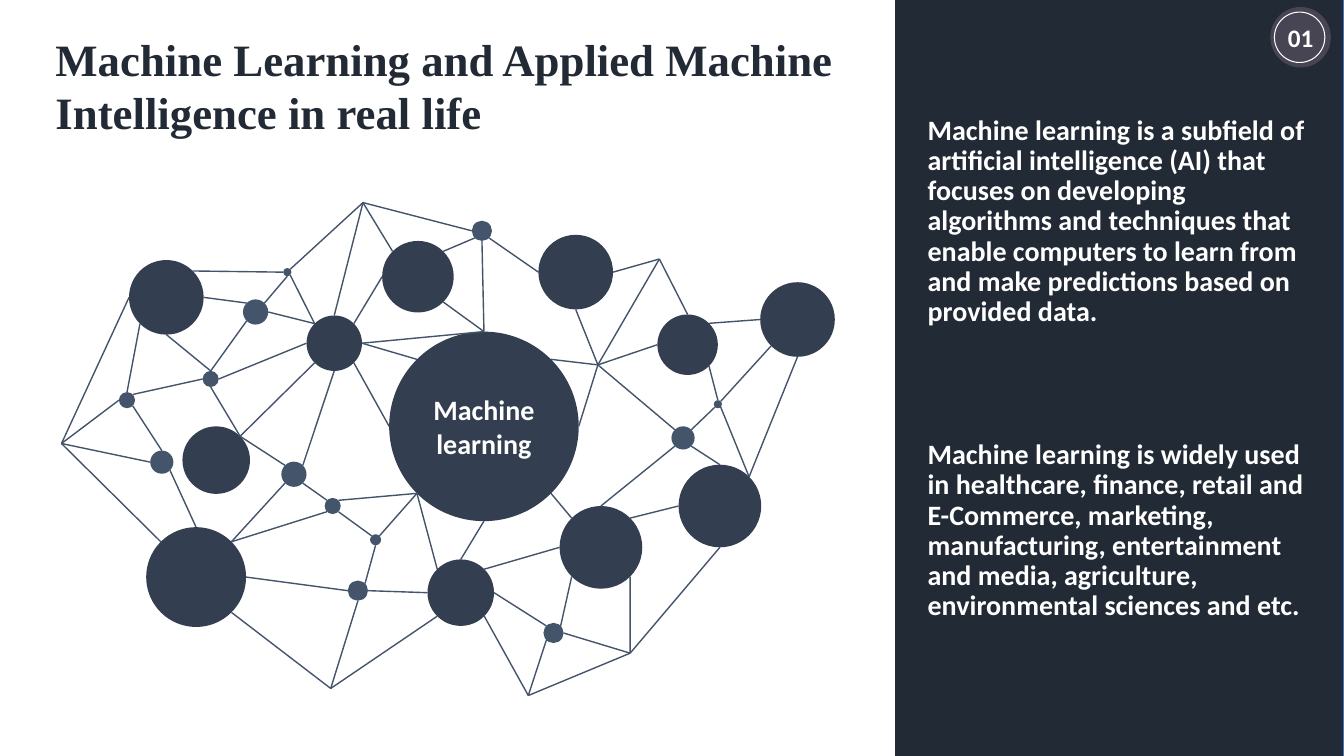
"""Build a slide showing a network of nodes around machine learning."""
from math import sqrt

from lxml.etree import SubElement
from pptx import Presentation
from pptx.dml.color import RGBColor
from pptx.enum.shapes import MSO_CONNECTOR, MSO_SHAPE
from pptx.enum.text import MSO_ANCHOR, MSO_AUTO_SIZE, PP_ALIGN
from pptx.oxml.ns import qn
from pptx.util import Inches, Pt

WHITE = RGBColor(0xFF, 0xFF, 0xFF)
NAVY = RGBColor(0x22, 0x2A, 0x35)
SLATE = RGBColor(0x33, 0x3F, 0x50)
STEEL = RGBColor(0x44, 0x54, 0x6A)
BLUE = RGBColor(0x44, 0x72, 0xC4)
PLUM = RGBColor(0x47, 0x45, 0x54)

WIDTH, HEIGHT = 13.33, 7.5
PANEL_WIDTH = WIDTH / 3
PANEL_LEFT = WIDTH - PANEL_WIDTH
PANEL_TEXT_LEFT, PANEL_TEXT_WIDTH, PANEL_TEXT_HEIGHT = 9.1, 4.02, 2.62

TITLE = "Machine Learning and Applied Machine Intelligence in real life"
DEFINITION = (
    "Machine learning is a subfield of artificial intelligence (AI) that focuses on "
    "developing algorithms and techniques that enable computers to learn from and make "
    "predictions based on provided data."
)
USES = (
    "Machine learning is widely used in healthcare, finance, retail and E-Commerce, "
    "marketing, manufacturing, entertainment and media, agriculture, environmental "
    "sciences and etc."
)

BIG_NODES = {
    "hub": (3.86, 3.29, 1.88),
    "west": (1.81, 4.23, 0.67),
    "southwest": (1.45, 5.23, 0.99),
    "northwest": (1.28, 2.58, 0.74),
    "north": (3.79, 2.39, 0.71),
    "inner": (3.04, 3.13, 0.55),
    "northeast": (5.34, 2.33, 0.74),
    "east": (6.52, 3.12, 0.6),
    "outer": (7.54, 2.8, 0.74),
    "southeast": (6.73, 4.61, 0.82),
    "lower": (5.55, 5.02, 0.82),
    "south": (4.24, 5.55, 0.66),
}
SMALL_NODES = {
    "joint": (6.66, 4.23, 0.23),
    "foot": (5.39, 6.18, 0.2),
    "base": (3.45, 5.76, 0.2),
    "middle": (2.79, 4.58, 0.25),
    "brow": (2.41, 2.97, 0.25),
    "crown": (4.68, 2.19, 0.2),
    "cheek": (1.49, 4.47, 0.23),
    "temple": (1.18, 3.89, 0.16),
    "link": (2.01, 3.68, 0.16),
    "relay": (3.22, 4.94, 0.16),
    "bead": (3.67, 5.3, 0.11),
    "dot": (2.81, 2.66, 0.08),
    "spark": (7.08, 3.97, 0.08),
}
CORNERS = {
    "edge": (0.61, 4.4, 0),
    "peak": (3.6, 2.01, 0),
    "chin": (3.28, 6.83, 0),
    "tip": (5.24, 6.9, 0),
    "heel": (6.25, 6.48, 0),
    "fork": (5.93, 3.62, 0),
    "ridge": (6.54, 2.57, 0),
}
NODES = {**BIG_NODES, **SMALL_NODES, **CORNERS}

DIAGONAL = 1 / sqrt(2)
COMPASS = {
    "": (0, 0), "N": (0, -1), "S": (0, 1), "W": (-1, 0), "E": (1, 0),
    "NW": (-DIAGONAL, -DIAGONAL), "NE": (DIAGONAL, -DIAGONAL),
    "SW": (-DIAGONAL, DIAGONAL), "SE": (DIAGONAL, DIAGONAL),
}

WEST_EDGES = """
northwest.SW-temple.N dot.W-northwest.NE northwest.W-edge southwest.NW-edge
cheek.W-edge temple.W-edge link.W-temple.NE northwest.S-link.N
cheek.SE-southwest.N relay.SW-southwest.NE inner.SW-west.NE middle.NW-west.NE
west.NE-link.S brow.SW-link.N brow.NW-northwest.E inner.NW-brow.E inner.W-link.E
inner.S-middle.NE southwest.NE-middle.SW cheek.N-temple.SE base.W-southwest.E
southwest.SE-chin brow.NE-dot.S inner.NW-dot.SE middle.SE-relay.NW
"""
CENTRE_EDGES = """
hub.N-inner.E north.W-inner.NE inner.N-peak inner.SE-hub.W bead.S-base.NE
south.W-base.E south.SW-chin base.S-chin south.NW-hub.SW north.NW-peak
dot.NE-peak north.NE-crown.SW peak-crown.W crown.S-hub.N north.SE-hub.N
inner.E-hub.NW bead.NW-relay.SE bead.NE-hub.SW relay.NE-hub.SW south.N-hub.S
"""
EAST_EDGES = """
spark.NE-outer.SW outer.W-east.NE outer.S-southeast.NE south.SE-tip foot.SW-tip
lower.SW-foot.NE southeast.W-lower.NE joint.SW-lower.N hub.SE-lower.NW
lower.W-south.NE southeast.S-heel lower.SE-heel foot.E-heel tip-heel
southeast.NE-spark.SE spark.N-east.SE east.W-fork northeast.S-fork fork-ridge
east.N-ridge northeast.E-ridge joint.NW-fork southeast.N-joint.SE
crown.SE-northeast.W fork-hub.E fork-hub.NE joint.NE-spark.SW foot.NW-south.E
"""


def add_figure(slide, preset, box, fill=None, line=None, weight=1):
    """Add a flat preset shape with optional fill and outline."""
    figure = slide.shapes.add_shape(preset, *map(Inches, box))
    figure.shadow.inherit = False
    if fill is None:
        figure.fill.background()
    else:
        figure.fill.solid()
        figure.fill.fore_color.rgb = fill
    if line is None:
        figure.line.fill.background()
    else:
        figure.line.color.rgb = line
        figure.line.width = Pt(weight)
    return figure


def add_circle(slide, left, top, size, fill=None, line=None, weight=1):
    """Add a circle given by its corner and diameter."""
    return add_figure(slide, MSO_SHAPE.OVAL, (left, top, size, size), fill, line, weight)


def anchor_point(end):
    """Return the point on a node's rim named like node.direction."""
    node, _, direction = end.partition(".")
    left, top, size = NODES[node]
    across, down = COMPASS[direction]
    radius = size / 2
    return Inches(left + radius + across * radius), Inches(top + radius + down * radius)


def add_edge(slide, edge):
    """Join two nodes with a thin line."""
    start, end = edge.split("-")
    connector = slide.shapes.add_connector(
        MSO_CONNECTOR.STRAIGHT, *anchor_point(start), *anchor_point(end))
    connector.line.color.rgb = STEEL
    connector.line.width = Pt(1)
    SubElement(connector._element.spPr, qn("a:effectLst"))


def write(holder, text, font, size, color, align, anchor, inset=None, wrap=True):
    """Set one bold paragraph in a shape and return the paragraph."""
    frame = holder.text_frame
    frame.text = text
    frame.word_wrap = wrap
    frame.auto_size = MSO_AUTO_SIZE.NONE
    frame.vertical_anchor = anchor
    if inset is not None:
        frame.margin_left = frame.margin_right = Inches(inset)
        frame.margin_top = frame.margin_bottom = Inches(inset)
    paragraph = frame.paragraphs[0]
    paragraph.alignment = align
    paragraph.space_before = Pt(0)
    run_font = paragraph.runs[0].font
    run_font.name, run_font.size, run_font.bold = font, Pt(size), True
    run_font.color.rgb = color
    return paragraph


def place(slide, placeholder, left, top, width, height):
    """Position a placeholder and bring it to the front."""
    placeholder.left, placeholder.top = Inches(left), Inches(top)
    placeholder.width, placeholder.height = Inches(width), Inches(height)
    slide.shapes._spTree.append(placeholder._element)


def fill_body(slide, body, text, top):
    """Write an unbulleted statement on the side panel."""
    place(slide, body, PANEL_TEXT_LEFT, top, PANEL_TEXT_WIDTH, PANEL_TEXT_HEIGHT)
    paragraph = write(body, text, "Calibri", 20, WHITE, PP_ALIGN.LEFT, MSO_ANCHOR.MIDDLE)
    paragraph.line_spacing = 0.9
    properties = paragraph._p.get_or_add_pPr()
    properties.set("marL", "0")
    properties.set("indent", "0")
    SubElement(properties, qn("a:buNone"))


def main():
    """Assemble and save the slide."""
    deck = Presentation()
    deck.slide_width, deck.slide_height = Inches(WIDTH), Inches(HEIGHT)
    slide = deck.slides.add_slide(deck.slide_layouts[3])
    title, definition, uses = list(slide.placeholders)

    add_figure(slide, MSO_SHAPE.RECTANGLE, (PANEL_LEFT, 0, PANEL_WIDTH, HEIGHT), BLUE)
    circles = {name: add_circle(slide, *NODES[name], fill=SLATE) for name in BIG_NODES}
    write(circles["hub"], "Machine learning", "Calibri", 20, WHITE,
          PP_ALIGN.CENTER, MSO_ANCHOR.MIDDLE, 0.1)
    for node in SMALL_NODES.values():
        add_circle(slide, *node, fill=STEEL)
    for region in (WEST_EDGES, CENTRE_EDGES, EAST_EDGES):
        for edge in region.split():
            add_edge(slide, edge)

    add_figure(slide, MSO_SHAPE.RECTANGLE, (8.88, 0, 4.43, HEIGHT), NAVY, NAVY)
    fill_body(slide, definition, DEFINITION, 0.89)
    place(slide, title, 0.55, 0.31, 8.1, 1.08)
    write(title, TITLE, "Times New Roman", 32, NAVY, PP_ALIGN.LEFT, MSO_ANCHOR.TOP, 0)
    fill_body(slide, uses, USES, 3.96)

    badge = add_circle(slide, 12.6, 0.07, 0.6, fill=PLUM)
    write(badge, "01", "Calibri", 18, WHITE, PP_ALIGN.CENTER, MSO_ANCHOR.MIDDLE, 0.1, False)
    add_circle(slide, 12.64, 0.12, 0.5, line=WHITE, weight=0.75)
    deck.save("out.pptx")


if __name__ == "__main__":
    main()
